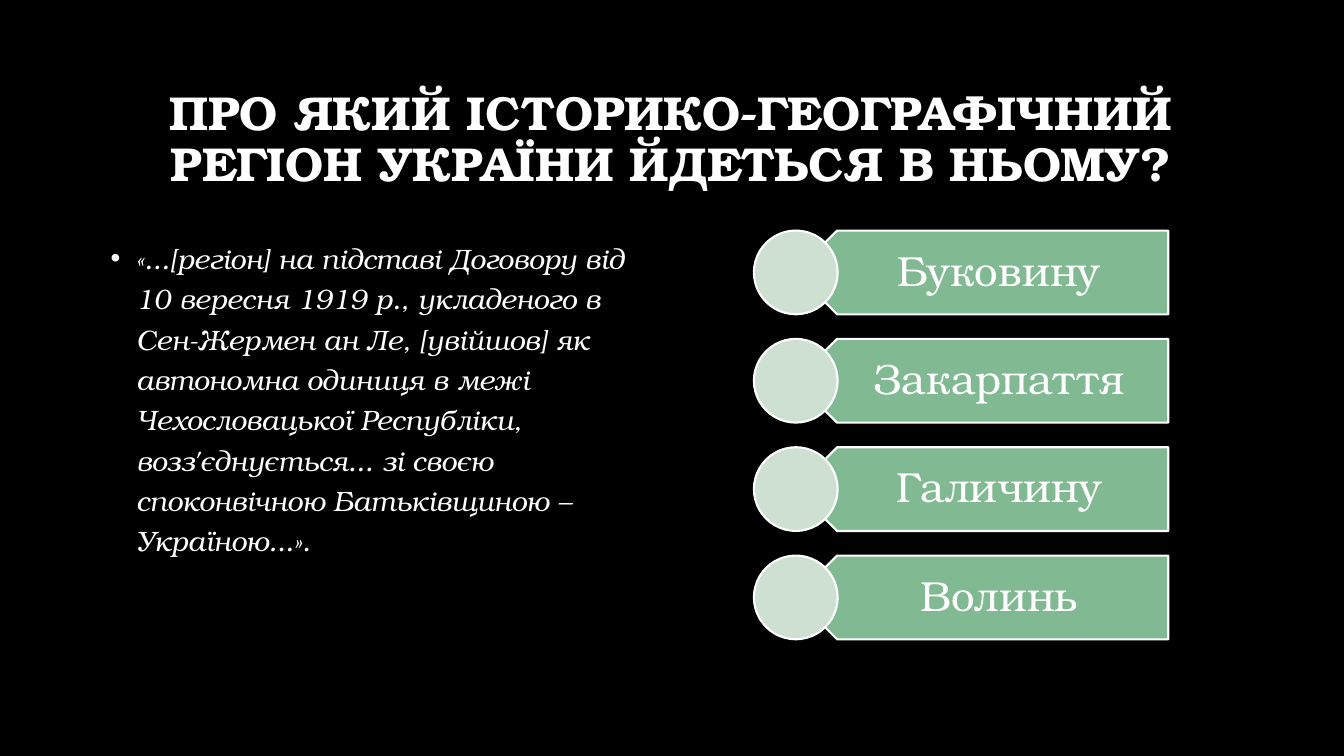
"""Build a quiz slide with a quotation and four answer options."""
from dataclasses import dataclass

from lxml import etree
from pptx import Presentation
from pptx import util as u
from pptx.dml.color import RGBColor
from pptx.enum import shapes, text
from pptx.oxml.ns import qn

FONT = "TeX Gyre Bonum"
WHITE, BLACK, GREEN, PALE_GREEN = "FFFFFF", "000000", "81B992", "CDE0D2"
TITLE = "ПРО ЯКИЙ ІСТОРИКО-ГЕОГРАФІЧНИЙ РЕГІОН УКРАЇНИ ЙДЕТЬСЯ В НЬОМУ?"
QUOTATION = (
    "«...[регіон] на підставі Договору від 10 вересня 1919 р., укладеного в "
    "Сен-Жермен ан Ле, [увійшов] як автономна одиниця в межі Чехословацької "
    "Республіки, возз'єднується... зі своєю споконвічною Батьківщиною – Україною...»."
)
OPTION_TOP, OPTION_PITCH, OPTION_HEIGHT = 5.81, 2.73, 2.11


@dataclass
class Box:
    """Position and size in centimetres."""

    left: float
    top: float
    width: float
    height: float

    def lengths(self) -> list[u.Cm]:
        """Return the four values as slide lengths."""
        return [u.Cm(value) for value in (self.left, self.top, self.width, self.height)]


@dataclass
class Option:
    """One answer with the top of its row."""

    label: str
    top: float


def color(value: str) -> RGBColor:
    """Turn a hex string into a colour."""
    return RGBColor.from_string(value)


def write(paragraph, content: str, size: float, spacing: float,
          bold: bool = False, italic: bool = False) -> None:
    """Add one formatted white run to a paragraph."""
    paragraph.line_spacing = spacing
    paragraph.space_before = u.Pt(0)
    run = paragraph.add_run()
    run.text = content
    run.font.name, run.font.size = FONT, u.Pt(size)
    run.font.bold, run.font.italic = bold, italic
    run.font.color.rgb = color(WHITE)


def add_title(slide) -> None:
    """Place and format the title placeholder."""
    title = slide.shapes.title
    title.left, title.top, title.width, title.height = Box(2.54, 1.7, 28.75, 3.68).lengths()
    frame = title.text_frame
    frame.word_wrap = True
    frame.auto_size = text.MSO_AUTO_SIZE.NONE
    frame.vertical_anchor = text.MSO_ANCHOR.MIDDLE
    paragraph = frame.paragraphs[0]
    paragraph.alignment = text.PP_ALIGN.CENTER
    write(paragraph, TITLE, 34, 0.9, bold=True)


def add_quotation(slide) -> None:
    """Add the bulleted quotation."""
    frame = slide.shapes.add_textbox(*Box(2.54, 5.79, 14.17, 10.29).lengths()).text_frame
    frame.word_wrap = True
    paragraph = frame.paragraphs[0]
    properties = paragraph._p.get_or_add_pPr()
    indent = u.Cm(0.64)
    properties.set("marL", str(indent))
    properties.set("indent", str(-indent))
    etree.SubElement(properties, qn("a:buFont")).set("typeface", "Arial")
    etree.SubElement(properties, qn("a:buChar")).set("char", "•")
    write(paragraph, QUOTATION, 20, 1.2, italic=True)


def add_outlined(slide, preset: shapes.MSO_SHAPE, box: Box, fill: str, rotation: float = 0) -> None:
    """Add a filled shape with a white outline."""
    shape = slide.shapes.add_shape(preset, *box.lengths())
    shape.shadow.inherit = False
    shape.rotation = rotation
    shape.fill.solid()
    shape.fill.fore_color.rgb = color(fill)
    shape.line.color.rgb = color(WHITE)
    shape.line.width = u.Pt(1.5)


def add_option(slide, option: Option) -> None:
    """Add the banner, label and circle of one answer."""
    banner = Box(20.04, option.top, 9.4, OPTION_HEIGHT)
    label = Box(20.57, option.top, 8.89, OPTION_HEIGHT)
    circle = Box(19, option.top, OPTION_HEIGHT, OPTION_HEIGHT)
    add_outlined(slide, shapes.MSO_SHAPE.PENTAGON, banner, GREEN, 180)
    frame = slide.shapes.add_textbox(*label.lengths()).text_frame
    frame.word_wrap = True
    frame.vertical_anchor = text.MSO_ANCHOR.MIDDLE
    frame.margin_left, frame.margin_right = u.Cm(0.91), u.Cm(0.58)
    frame.margin_top = frame.margin_bottom = u.Cm(0.3)
    paragraph = frame.paragraphs[0]
    paragraph.alignment = text.PP_ALIGN.CENTER
    write(paragraph, option.label, 30, 0.9)
    add_outlined(slide, shapes.MSO_SHAPE.OVAL, circle, PALE_GREEN)


def main() -> None:
    """Create and save the presentation."""
    presentation = Presentation()
    presentation.slide_width, presentation.slide_height = u.Cm(33.87), u.Cm(19.05)
    slide = presentation.slides.add_slide(presentation.slide_layouts.get_by_name("Title Only"))
    slide.background.fill.solid()
    slide.background.fill.fore_color.rgb = color(BLACK)
    add_title(slide)
    add_quotation(slide)
    labels = ("Буковину", "Закарпаття", "Галичину", "Волинь")
    for row, label in enumerate(labels):
        add_option(slide, Option(label, OPTION_TOP + row * OPTION_PITCH))
    presentation.save("out.pptx")


if __name__ == "__main__":
    main()
